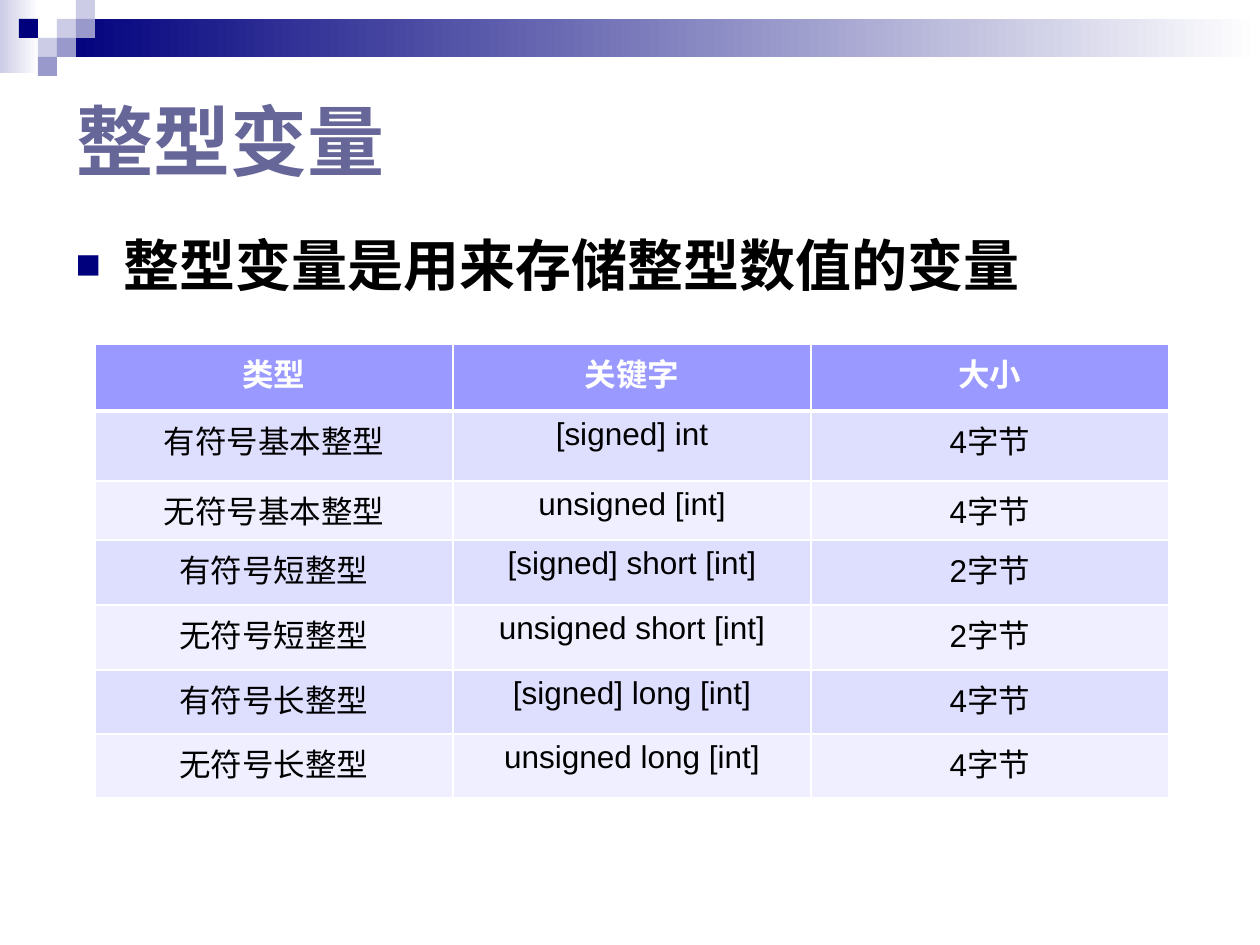
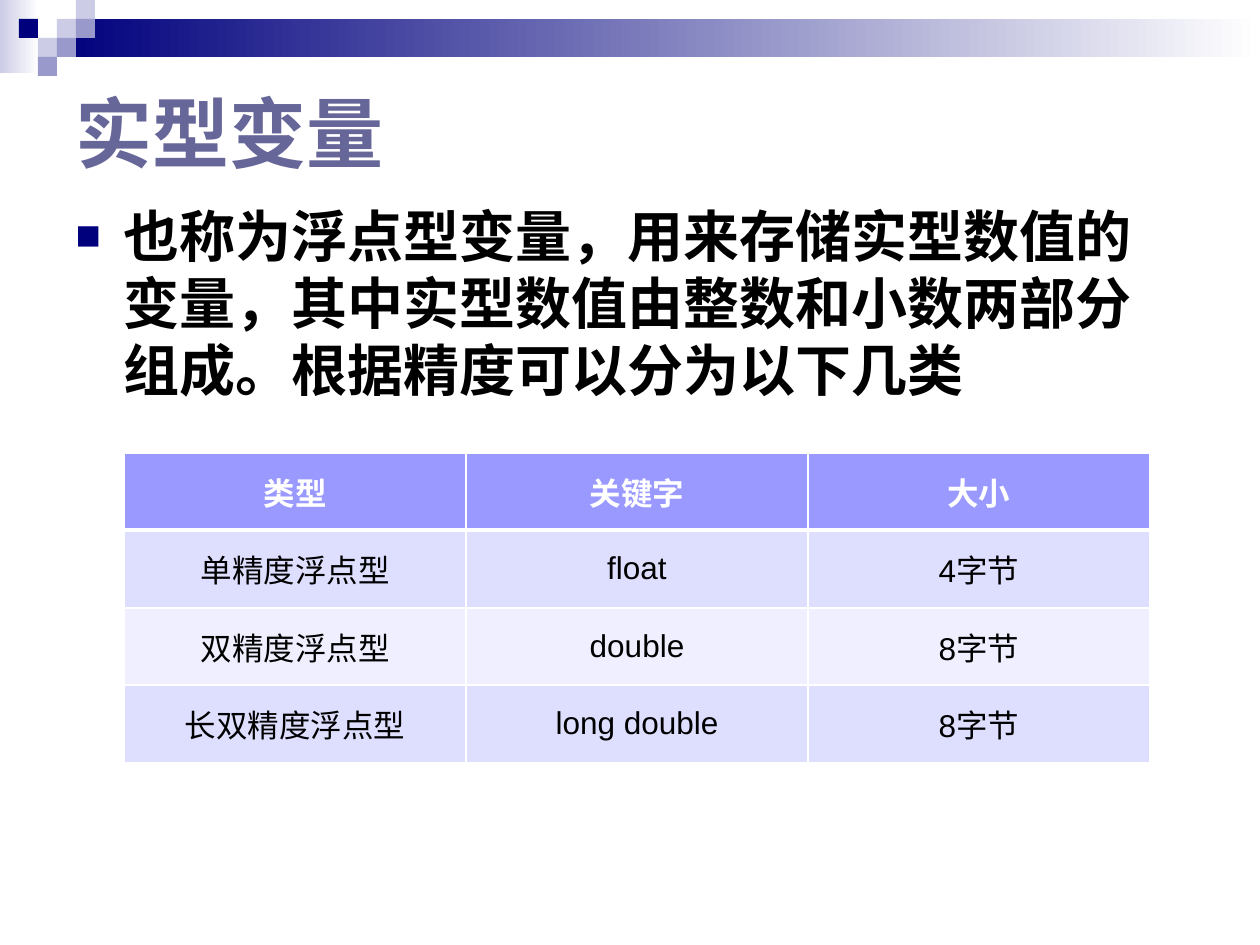
import pptx
import pptx.dml.color
import pptx.enum.shapes
import pptx.enum.text
import pptx.oxml
import pptx.oxml.ns
import pptx.util

SCALE = 914400 / 126
FONT = "Arial"
HUES = {
    "navy": "00007D",
    "mid": "9999CC",
    "pale": "CCCCE6",
    "title": "666699",
    "text": "000000",
    "white": "FFFFFF",
    "head": "9999FF",
    "odd": "DEDEFF",
    "even": "EFEFFF",
}
ALIGN = pptx.enum.text.PP_ALIGN
ANCHOR = pptx.enum.text.MSO_ANCHOR
HEADS = ["类型", "关键字", "大小"]


def px(count):
    return pptx.util.Emu(round(count * SCALE))


def hue(name):
    return pptx.dml.color.RGBColor.from_string(HUES[name])


def node(tag, inner="", **attrs):
    pairs = "".join(f' {key}="{value}"' for key, value in attrs.items())
    space = pptx.oxml.ns.nsdecls("a")
    return pptx.oxml.parse_xml(f"<a:{tag} {space}{pairs}>{inner}</a:{tag}>")


def tint(name):
    return f'<a:srgbClr val="{HUES[name]}"/>'


def write(frame, text, size=18, color="text", bold=False, align=ALIGN.LEFT):
    frame.text = text
    para = frame.paragraphs[0]
    para.alignment = align
    font = para.runs[0].font
    font.name = FONT
    font.size = pptx.util.Pt(size)
    font.bold = bold
    font.color.rgb = hue(color)
    return para


def place(shape, box):
    shape.left, shape.top, shape.width, shape.height = map(px, box)


def block(shapes, box, color, fade=False):
    kind = pptx.enum.shapes.MSO_SHAPE.RECTANGLE
    shape = shapes.add_shape(kind, *map(px, box))
    shape.shadow.inherit = False
    shape.line.fill.background()
    if fade:
        shape.fill.gradient()
        shape.fill.gradient_angle = 0
        for stop, name in zip(shape.fill.gradient_stops, (color, "white")):
            stop.color.rgb = hue(name)
    else:
        shape.fill.solid()
        shape.fill.fore_color.rgb = hue(color)
    return shape


def banner(shapes, box, unit=19):
    left, top, width, height = box
    start = 3 * unit
    parts = [
        block(shapes, (left, top, 39, height), "pale", fade=True),
        block(shapes, (left + start, top + unit, width - start, 2 * unit), "navy", fade=True),
    ]
    tiles = [(3, 1, "pale"), (4, 0, "pale"), (4, 1, "mid"), (2, 2, "pale"),
             (1, 1, "navy"), (3, 2, "mid"), (2, 3, "mid")]
    for col, row, color in tiles:
        spot = (left + col * unit, top + row * unit, unit, unit)
        parts.append(block(shapes, spot, color))
    return parts


def share(master, parts):
    for index, part in enumerate(parts):
        part.element.nvSpPr.cNvPr.set("id", str(100 + index))
        master.shapes.element.insert(2 + index, part.element)


def title(slide, box, text):
    shape = slide.shapes.title
    place(shape, box)
    shape.text_frame.vertical_anchor = ANCHOR.MIDDLE
    write(shape.text_frame, text, size=44, color="title", bold=True)


def body(slide, box, text):
    shape = slide.placeholders[1]
    place(shape, box)
    para = write(shape.text_frame, text, size=32, bold=True)
    props = para._p.get_or_add_pPr()
    props.set("marL", str(px(48)))
    props.set("indent", str(-px(48)))
    props.append(node("buClr", tint("navy")))
    props.append(node("buSzPct", val=75000))
    props.append(node("buFont", typeface=FONT))
    props.append(node("buChar", char="■"))


def edge(cell, row):
    props = cell._tc.get_or_add_tcPr()
    for side in "LRTB":
        thick = (row, side) in [(0, "B"), (1, "T")]
        width = pptx.util.Pt(3 if thick else 1)
        fill = f'<a:solidFill>{tint("white")}</a:solidFill>'
        props.append(node("ln" + side, fill, w=width))


def grid(slide, box, rows, highs, anchor):
    data = [HEADS] + rows
    frame = slide.shapes.add_table(len(data), len(HEADS), *map(px, box))
    table = frame.table
    for col in table.columns:
        col.width = px(box[2] // len(HEADS))
    for index, (row, high) in enumerate(zip(data, highs)):
        table.rows[index].height = px(high)
        first = index == 0
        shade = "head" if first else "odd" if index % 2 else "even"
        for cell, text in zip(table.rows[index].cells, row):
            edge(cell, index)
            cell.fill.solid()
            cell.fill.fore_color.rgb = hue(shade)
            cell.vertical_anchor = anchor
            write(cell.text_frame, text, color="white" if first else "text",
                  bold=first, align=ALIGN.CENTER)


def whole(slide):
    title(slide, (64, 45, 1134, 189), "整型变量")
    body(slide, (63, 224, 1134, 536), "整型变量是用来存储整型数值的变量")
    rows = []
    for name, word, size in [("基本", "[int]", 4), ("短", "short [int]", 2), ("长", "long [int]", 4)]:
        signed = "int" if word == "[int]" else word
        rows.append([f"有符号{name}整型", f"[signed] {signed}", f"{size}字节"])
        rows.append([f"无符号{name}整型", f"unsigned {word}", f"{size}字节"])
    highs = [67, 70, 59, 65, 65, 64, 64]
    grid(slide, (95, 344, 1074, sum(highs)), rows, highs, ANCHOR.TOP)


def real(slide):
    title(slide, (63, 37, 1134, 189), "实型变量")
    body(slide, (63, 195, 1134, 536),
         "也称为浮点型变量，用来存储实型数值的变量，其中实型数值由整数和小数两部分组成。"
         "根据精度可以分为以下几类")
    rows = [
        ["单精度浮点型", "float", "4字节"],
        ["双精度浮点型", "double", "8字节"],
        ["长双精度浮点型", "long double", "8字节"],
    ]
    highs = [77, 78, 77, 78]
    grid(slide, (124, 453, 1026, sum(highs)), rows, highs, ANCHOR.MIDDLE)


def main():
    deck = pptx.Presentation()
    deck.slide_width, deck.slide_height = px(1260), px(945)
    layout = deck.slide_layouts[1]
    slides = [deck.slides.add_slide(layout) for _ in range(2)]
    share(deck.slide_master, banner(slides[0].shapes, (0, 0, 1260, 73)))
    for slide, fill in zip(slides, (whole, real)):
        fill(slide)
    deck.save("out.pptx")


if __name__ == "__main__":
    main()
